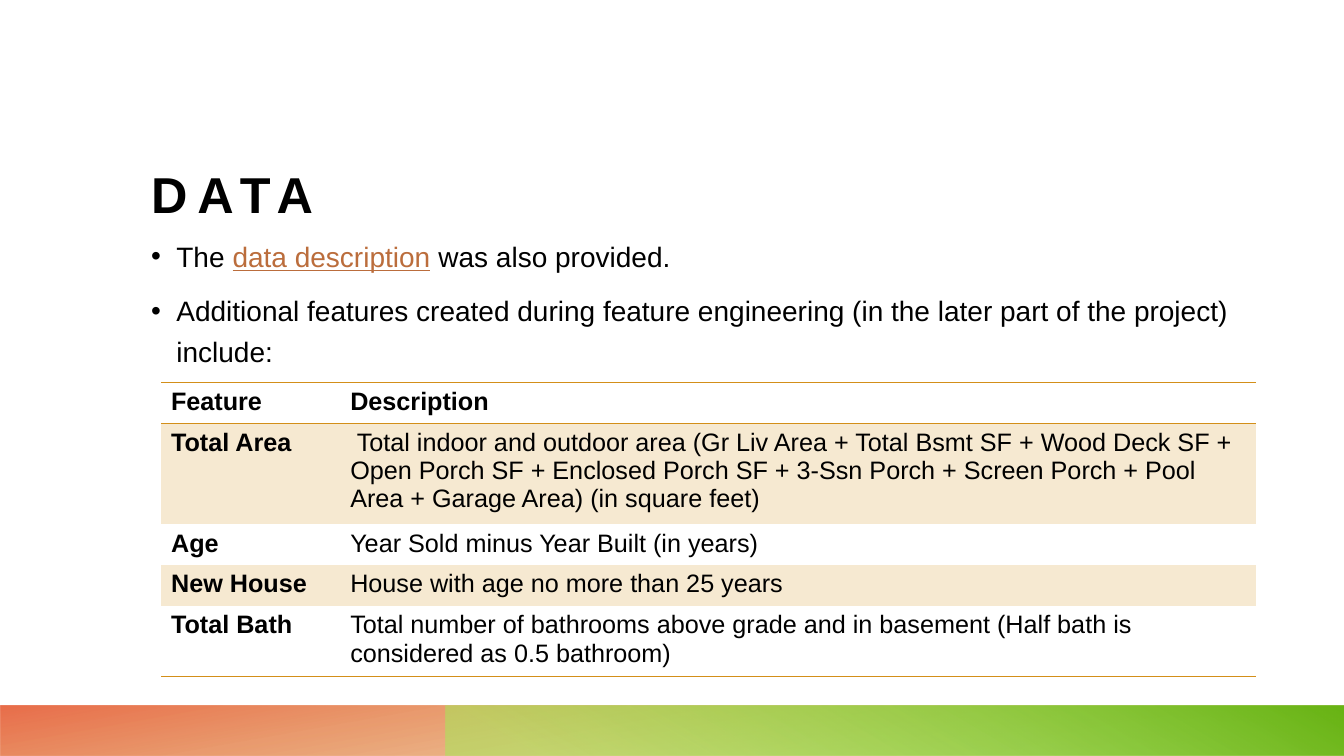
import dataclasses

import lxml.etree
import pptx
import pptx.dml.color
import pptx.enum.shapes
import pptx.enum.text
import pptx.oxml
import pptx.oxml.ns
import pptx.util

Pt = pptx.util.Pt
qn = pptx.oxml.ns.qn
BLACK, GOLD, PALE_GOLD, LINK = "000000", "D38F19", "F6E9D1", "BB6D3C"
NO_STYLE = "{2D5ABB26-0587-4C30-8999-92F81FD0307C}"


@dataclasses.dataclass
class Stop:
    position: int
    color: str
    opacity: int = 100


@dataclasses.dataclass
class Band:
    left: float
    width: float
    rotation: int
    angle: int
    stops: list[Stop]


@dataclasses.dataclass
class Run:
    text: str
    color: str = BLACK
    underline: bool = False


@dataclasses.dataclass
class Feature:
    name: str
    description: str
    fill: str | None = None
    bold_description: bool = False
    edges: tuple[str, ...] = ()


BANDS = [
    Band(0, 960, 180, 100, [Stop(14, GOLD, 28), Stop(100, "E5542B", 85)]),
    Band(318, 642, 0, 240, [Stop(9, "A6EC59", 55), Stop(99, "69B415")]),
]
BULLETS = [
    [Run("The "), Run("data description", LINK, True), Run(" was also provided.")],
    [Run("Additional features created during feature engineering "
         "(in the later part of the project) include:")],
]
FEATURES = [
    Feature("Feature", "Description", bold_description=True, edges=("lnT", "lnB")),
    Feature("Total Area",
            " Total indoor and outdoor area (Gr Liv Area + Total Bsmt SF + Wood Deck SF + "
            "Open Porch SF + Enclosed Porch SF + 3-Ssn Porch + Screen Porch + "
            "Pool Area + Garage Area) (in square feet)", PALE_GOLD),
    Feature("Age", "Year Sold minus Year Built (in years)"),
    Feature("New House", "House with age no more than 25 years", PALE_GOLD),
    Feature("Total Bath",
            "Total number of bathrooms above grade and in basement "
            "(Half bath is considered as 0.5 bathroom)", edges=("lnB",)),
]


def rgb(color: str) -> pptx.dml.color.RGBColor:
    return pptx.dml.color.RGBColor.from_string(color)


def add_run(paragraph, text: str, size: float, color: str = BLACK, **formats):
    run = paragraph.add_run()
    run.text = text
    for attribute, value in {"name": "Arial", "size": Pt(size), **formats}.items():
        setattr(run.font, attribute, value)
    run.font.color.rgb = rgb(color)
    return run


def add_text_frame(slide, left: float, top: float, width: float, height: float, anchor):
    frame = slide.shapes.add_textbox(Pt(left), Pt(top), Pt(width), Pt(height)).text_frame
    formats = {"word_wrap": True, "vertical_anchor": anchor, "margin_left": 0,
               "margin_right": 0, "margin_top": 0, "margin_bottom": 0}
    for attribute, value in formats.items():
        setattr(frame, attribute, value)
    return frame


def add_band(slide, band: Band) -> None:
    shape = slide.shapes.add_shape(pptx.enum.shapes.MSO_SHAPE.RECTANGLE,
                                   Pt(band.left), Pt(504), Pt(band.width), Pt(36))
    shape.shadow.inherit = False
    shape.line.fill.background()
    shape.rotation = band.rotation
    properties = shape._element.spPr
    properties.find(qn("a:xfrm")).set("flipH", "1")
    stops = "".join(
        f'<a:gs pos="{stop.position * 1000}"><a:srgbClr val="{stop.color}">'
        f'<a:alpha val="{stop.opacity * 1000}"/></a:srgbClr></a:gs>'
        for stop in band.stops)
    gradient = pptx.oxml.parse_xml(
        f'<a:gradFill {pptx.oxml.ns.nsdecls("a")} rotWithShape="1"><a:gsLst>{stops}</a:gsLst>'
        f'<a:lin ang="{band.angle * 60000}" scaled="0"/></a:gradFill>')
    properties.find(qn("a:prstGeom")).addnext(gradient)


def add_bullet(paragraph, runs: list[Run]) -> None:
    paragraph.line_spacing = 1.2
    paragraph.space_before = Pt(10)
    properties = paragraph._p.get_or_add_pPr()
    properties.set("marL", str(Pt(18)))
    properties.set("indent", str(-Pt(18)))
    lxml.etree.SubElement(properties, qn("a:buFont"), typeface="Arial")
    lxml.etree.SubElement(properties, qn("a:buChar"), char="•")
    for run in runs:
        add_run(paragraph, run.text, 20, run.color, underline=run.underline)


def fill_cell(cell, text: str, bold: bool, feature: Feature) -> None:
    add_run(cell.text_frame.paragraphs[0], text, 18, bold=bold)
    properties = cell._tc.get_or_add_tcPr()
    for edge in feature.edges:
        line = lxml.etree.SubElement(properties, qn(f"a:{edge}"), w=str(Pt(1)))
        solid = lxml.etree.SubElement(line, qn("a:solidFill"))
        lxml.etree.SubElement(solid, qn("a:srgbClr"), val=GOLD)
    if feature.fill:
        cell.fill.solid()
        cell.fill.fore_color.rgb = rgb(feature.fill)
    else:
        cell.fill.background()


def add_feature_table(slide, features: list[Feature]) -> None:
    widths = (128, 654)
    row_height = 29.2
    table = slide.shapes.add_table(len(features), len(widths), Pt(115), Pt(273.2),
                                   Pt(sum(widths)), Pt(row_height * len(features))).table
    table._tbl.tblPr.find(qn("a:tableStyleId")).text = NO_STYLE
    table.horz_banding = False
    for column, width in zip(table.columns, widths):
        column.width = Pt(width)
    for row, feature in zip(table.rows, features):
        row.height = Pt(row_height)
        fill_cell(row.cells[0], feature.name, True, feature)
        fill_cell(row.cells[1], feature.description, feature.bold_description, feature)


def main() -> None:
    presentation = pptx.Presentation()
    presentation.slide_width, presentation.slide_height = Pt(960), Pt(540)
    slide = presentation.slides.add_slide(presentation.slide_layouts[6])

    # Footer bands
    for band in BANDS:
        add_band(slide, band)

    # Title
    title = add_text_frame(slide, 108, 62.6, 806.4, 97.2, pptx.enum.text.MSO_ANCHOR.BOTTOM)
    heading = add_run(title.paragraphs[0], "DATA", 36, bold=True)
    heading.font._element.set("spc", "700")

    # Bullets
    body = add_text_frame(slide, 108, 166.3, 806.4, 311.8, pptx.enum.text.MSO_ANCHOR.TOP)
    for index, runs in enumerate(BULLETS):
        add_bullet(body.add_paragraph() if index else body.paragraphs[0], runs)

    # Engineered features
    add_feature_table(slide, FEATURES)

    presentation.save("out.pptx")


if __name__ == "__main__":
    main()
